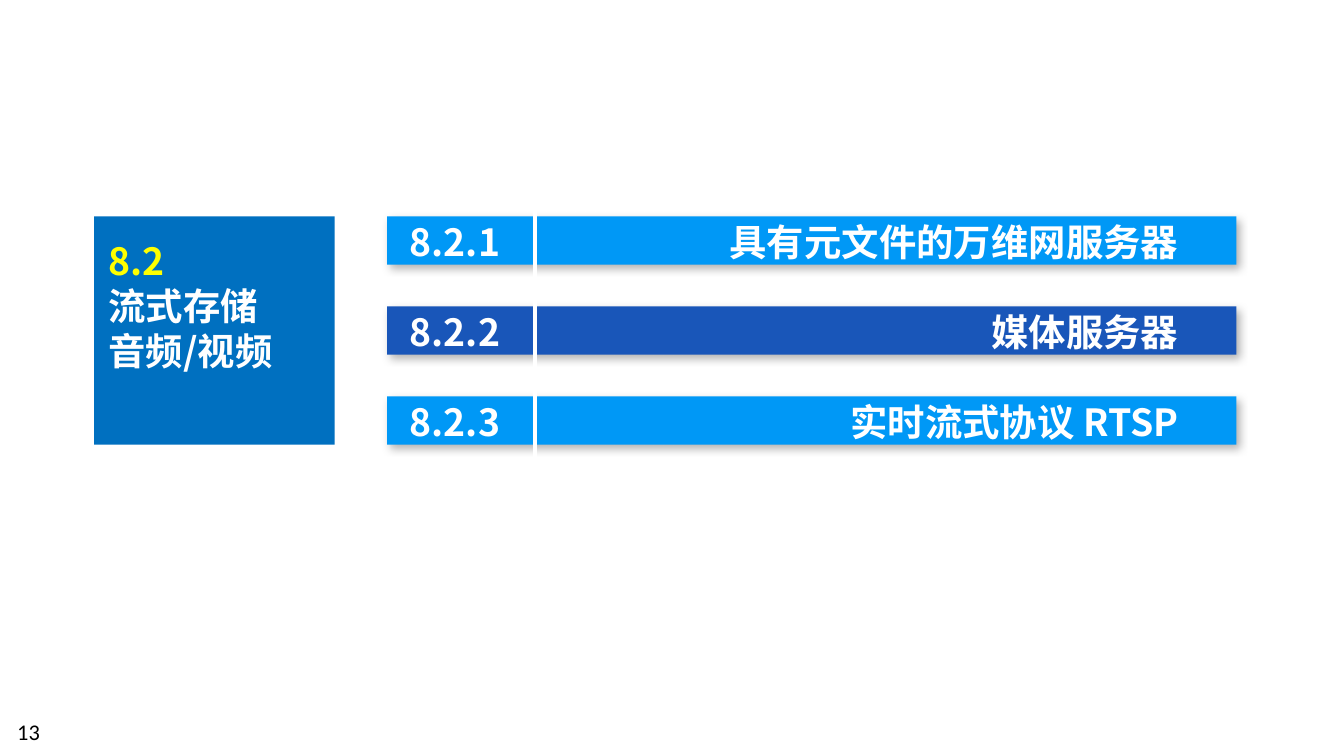
from lxml import etree
from pptx import Presentation
from pptx.dml.color import RGBColor
from pptx.enum.shapes import MSO_CONNECTOR, MSO_SHAPE
from pptx.enum.text import MSO_ANCHOR
from pptx.oxml.ns import qn
from pptx.util import Inches, Pt

RECTANGLE = MSO_SHAPE.RECTANGLE
STRAIGHT = MSO_CONNECTOR.STRAIGHT
TOP, MIDDLE = MSO_ANCHOR.TOP, MSO_ANCHOR.MIDDLE

COLORS = {
    "bar": "0098F6",
    "current": "1956B9",
    "chapter": "0070C0",
    "number": "FFFF00",
    "light": "FFFFFF",
    "dark": "000000",
}
CJK = "Noto Sans CJK SC"
LATIN = "Calibri"

SECTIONS = [
    ("8.2.1", "具有元文件的万维网服务器", "bar"),
    ("8.2.2", "媒体服务器", "current"),
    ("8.2.3", "实时流式协议 RTSP", "bar"),
]
BLOCK_TOP = 1.61
BAR_STEP = 0.67
LINE_PITCH = 24.12  # points, half a bar step


def rgb(name):
    return RGBColor.from_string(COLORS[name])


def add_block(slide, left, top, width, height, color):
    block = slide.shapes.add_shape(
        RECTANGLE, Inches(left), Inches(top), Inches(width), Inches(height))
    block.shadow.inherit = False
    block.fill.solid()
    block.fill.fore_color.rgb = rgb(color)
    block.line.fill.background()
    return block


def cast_shadow(block):
    """Give the block a soft shadow to the lower right."""
    effects = block._element.spPr.find(qn("a:effectLst"))
    outer = etree.SubElement(
        effects, qn("a:outerShdw"), blurRad=str(Pt(4.5)), dist=str(Pt(2.6)),
        dir=str(53 * 60000), algn="tl", rotWithShape="0")
    color = etree.SubElement(outer, qn("a:srgbClr"), val=COLORS["dark"])
    etree.SubElement(color, qn("a:alpha"), val="30000")


def add_divider(slide, x, top, bottom):
    divider = slide.shapes.add_connector(
        STRAIGHT, Inches(x), Inches(top), Inches(x), Inches(bottom))
    divider.line.color.rgb = rgb("light")
    divider.line.width = Pt(2.25)
    etree.SubElement(divider._element.spPr, qn("a:effectLst"))


def add_text(slide, left, top, width, height, lines, *, size=20, font=CJK,
             bold=True, pitch=None, gap=0, right_tab=None, anchor=TOP):
    """Add a text box; lines holds one (text, colour) pair per paragraph."""
    box = slide.shapes.add_textbox(
        Inches(left), Inches(top), Inches(width), Inches(height))
    frame = box.text_frame
    frame.word_wrap = True
    frame.vertical_anchor = anchor
    for index, (text, color) in enumerate(lines):
        paragraph = frame.add_paragraph() if index else frame.paragraphs[0]
        if right_tab:
            tabs = etree.SubElement(
                paragraph._p.get_or_add_pPr(), qn("a:tabLst"))
            etree.SubElement(
                tabs, qn("a:tab"), pos=str(Inches(right_tab)), algn="r")
        if pitch:
            paragraph.line_spacing = Pt(pitch)
        if index and gap:
            paragraph.space_before = Pt(gap)
        run = paragraph.add_run()
        run.text = text
        run.font.name = font
        run.font.size = Pt(size)
        run.font.bold = bold
        run.font.color.rgb = rgb(color)
        etree.SubElement(
            run._r.get_or_add_rPr(), qn("a:ea"), typeface=font)


def add_sections(slide):
    for index, (_, _, color) in enumerate(SECTIONS):
        bar = add_block(
            slide, 2.88, BLOCK_TOP + index * BAR_STEP, 6.32, 0.36, color)
        cast_shadow(bar)
    add_divider(slide, 3.98, 1.13, 4.3)
    entries = [(f"{number}\t{title}", "light") for number, title, _ in SECTIONS]
    add_text(slide, 2.95, 1.58, 5.98, 1.78, entries,
             pitch=LINE_PITCH, gap=LINE_PITCH, right_tab=5.72)


def add_chapter(slide):
    add_block(slide, 0.7, BLOCK_TOP, 1.79, 1.7, "chapter")
    heading = [("8.2", "number"), ("流式存储", "light"), ("音频/视频", "light")]
    add_text(slide, 0.71, 1.72, 1.78, 1.11, heading, pitch=LINE_PITCH)


def main():
    deck = Presentation()
    deck.slide_width = Inches(10)
    deck.slide_height = deck.slide_width * 9 // 16
    slide = deck.slides.add_slide(deck.slide_layouts[6])
    add_sections(slide)
    add_chapter(slide)
    add_text(slide, 0.03, 5.29, 2.33, 0.3, [("13", "dark")],
             size=12, font=LATIN, bold=False, anchor=MIDDLE)
    deck.save("out.pptx")


if __name__ == "__main__":
    main()
